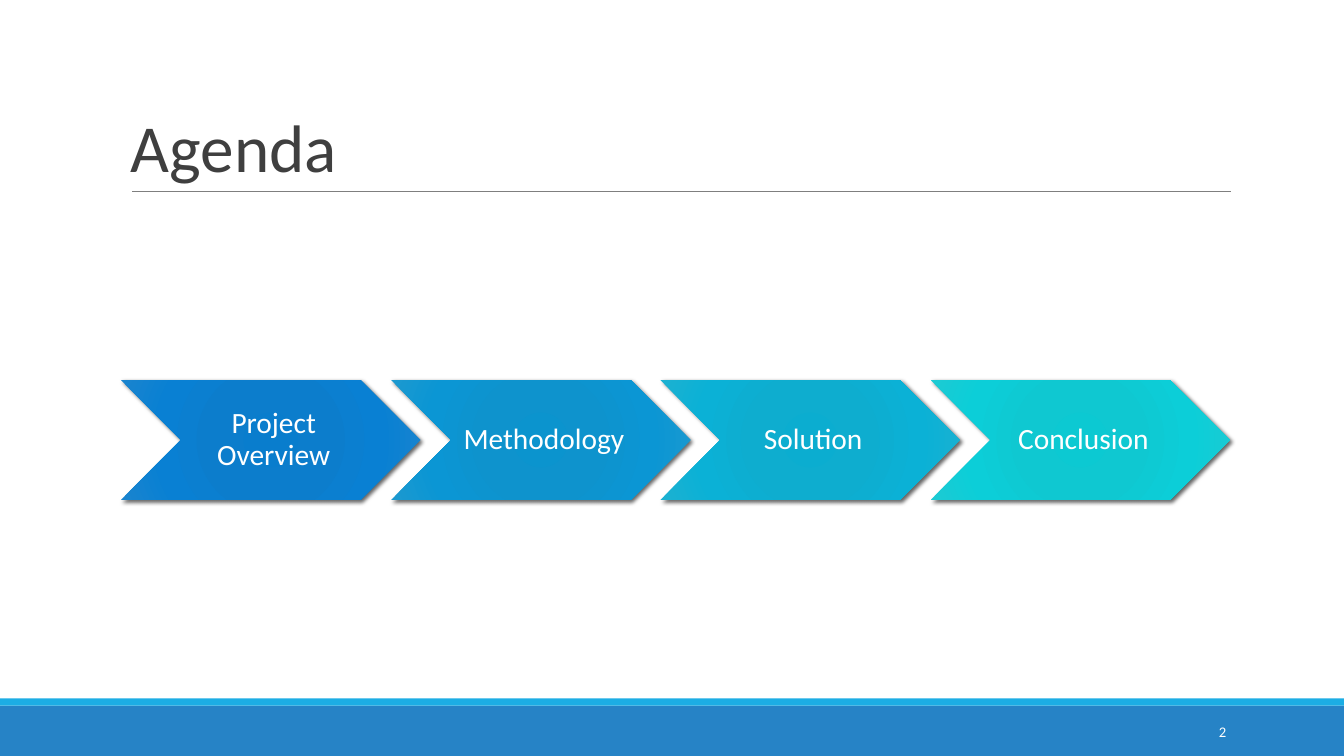
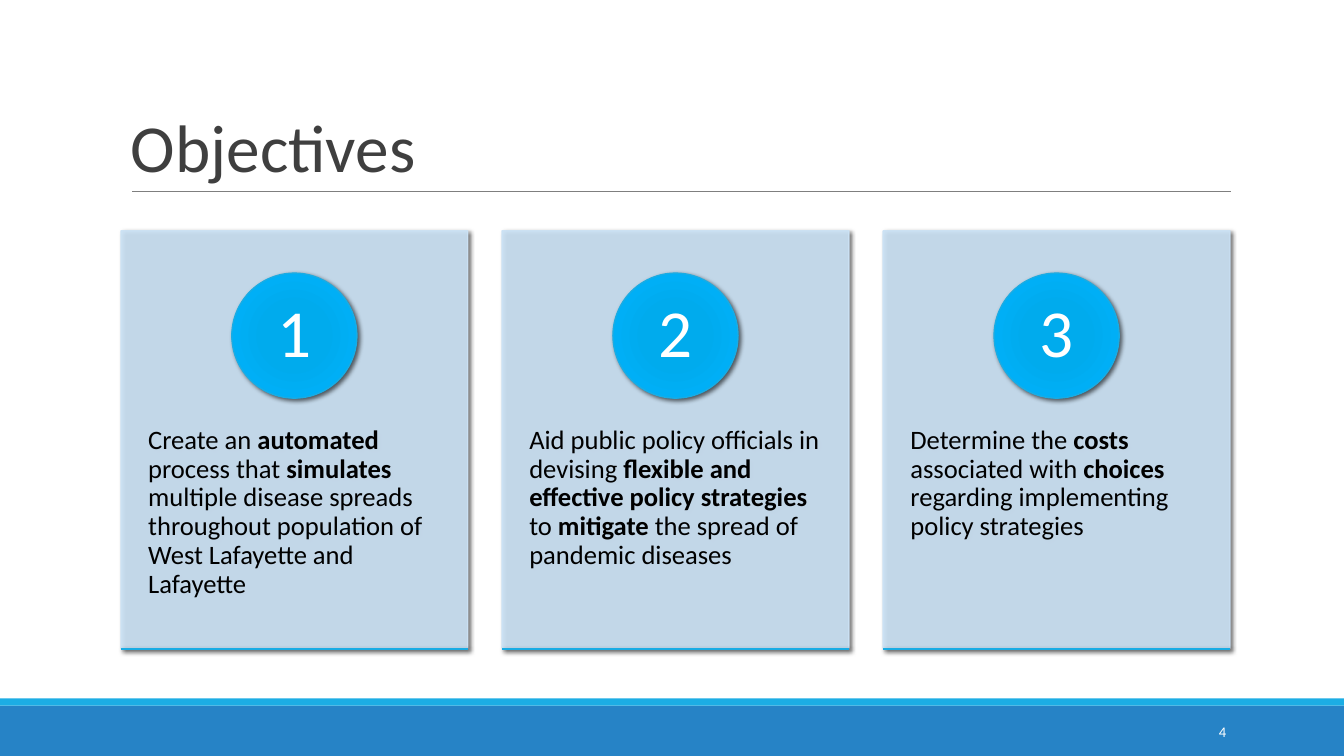
from dataclasses import dataclass

from lxml import etree
from pptx import Presentation
from pptx.dml.color import RGBColor
from pptx.enum.shapes import MSO_CONNECTOR, MSO_SHAPE
from pptx.enum.text import MSO_ANCHOR, PP_ALIGN
from pptx.oxml.ns import qn
from pptx.util import Emu, Pt

RECT, OVAL, ARROW = MSO_SHAPE.RECTANGLE, MSO_SHAPE.OVAL, MSO_SHAPE.CHEVRON
LINE = MSO_CONNECTOR.STRAIGHT
TOP, MID, LOW = MSO_ANCHOR.TOP, MSO_ANCHOR.MIDDLE, MSO_ANCHOR.BOTTOM
LEFT, MIDDLE, RIGHT = PP_ALIGN.LEFT, PP_ALIGN.CENTER, PP_ALIGN.RIGHT
SCALE = 9144  # EMU per px, 100 px to the inch


@dataclass(frozen=True)
class Theme:
    font: str = "Calibri"
    # Colours
    band: str = "2683C6"
    strip: str = "1CADE4"
    rule: str = "7F7F7F"
    title: str = "3F3F3F"
    body: str = "000000"
    light: str = "FFFFFF"
    card: str = "CBE2F5"
    edge: str = "19ACE4"
    disc: tuple = ("00ABEF", "00ABED", "00AFF6", "0EB0EE")
    steps: tuple = (
        ("097DCD", "0C7DCC", "0980D3", "1A84CE"),
        ("0B94CE", "0E93CD", "0B96D4", "1C99CF"),
        ("0BADD0", "0EADCF", "0BB1D6", "1CB1D1"),
        ("0CC9D2", "0FC8D1", "0CCED8", "1DCAD3"),
    )
    # Type sizes
    head: float = 48
    step: float = 21
    note: float = 19
    foot: float = 10.5


def px(*vals):
    return [Emu(round(val * SCALE)) for val in vals]


def spread(left, right, width, count):
    """Left edges of equal boxes that fill left to right."""
    gap = (right - left - width) / (count - 1)
    return [round(left + num * gap) for num in range(count)]


def node(base, tag, **attrs):
    return etree.SubElement(base, qn(tag), {key: str(val) for key, val in attrs.items()})


def glow(props, blur):
    """Add an outer shadow to the shape properties."""
    base = props.find(qn("a:effectLst"))
    if base is None:
        base = node(props, "a:effectLst")
    outer = node(base, "a:outerShdw", blurRad=Pt(blur), dist=Pt(2), dir=45 * 60000,
                 algn="tl", rotWithShape=0)
    node(node(outer, "a:srgbClr", val="000000"), "a:alpha", val=60000)


def radial(shape, stops):
    """Fill the shape with a gradient that runs out from its centre."""
    shape.fill.background()
    props = shape.element.spPr
    grad = etree.Element(qn("a:gradFill"), {"rotWithShape": "1"})
    row = node(grad, "a:gsLst")
    for pos, tone in zip((0, 34, 70, 100), stops):
        node(node(row, "a:gs", pos=pos * 1000), "a:srgbClr", val=tone)
    node(node(grad, "a:path", path="circle"), "a:fillToRect",
         l=50000, t=50000, r=50000, b=50000)
    props.replace(props.find(qn("a:noFill")), grad)


def write(shape, text, *, font, size, color, align=LEFT, anchor=TOP,
          pads=(10, 5, 10, 5), space=1.0):
    """Set text in a shape; parts between asterisks are bold."""
    frame = shape.text_frame
    frame.word_wrap = True
    frame.vertical_anchor = anchor
    (frame.margin_left, frame.margin_top,
     frame.margin_right, frame.margin_bottom) = px(*pads)
    para = frame.paragraphs[0]
    para.alignment = align
    para.line_spacing = space
    for num, part in enumerate(text.split("*")):
        run = para.add_run()
        run.text = part
        run.font.name = font
        run.font.size = Pt(size)
        run.font.bold = num % 2 == 1
        run.font.color.rgb = RGBColor.from_string(color)


class Deck:
    def __init__(self, theme):
        self.theme = theme
        self.prs = Presentation()
        self.prs.slide_width, self.prs.slide_height = px(1333, 750)
        self.slide = None

    def page(self, title, num):
        """Start a slide with its bands, title and number."""
        look = self.theme
        self.slide = self.prs.slides.add_slide(self.prs.slide_layouts[6])
        self.shape(RECT, (0, 700, 1333, 50), look.band)
        self.shape(RECT, (0, 693, 1333, 7), look.strip)
        self.rule(131, 1221, 190, look.rule, 0.75)
        self.label((120, 31, 1100, 159), title, size=look.head,
                   color=look.title, anchor=LOW, space=0.85)
        self.label((1083, 706, 143, 40), str(num), size=look.foot,
                   color=look.light, align=RIGHT, anchor=MID)

    def shape(self, kind, box, fill, line=None, blur=0, alpha=100):
        item = self.slide.shapes.add_shape(kind, *px(*box))
        item.shadow.inherit = False
        if isinstance(fill, tuple):
            radial(item, fill)
        else:
            item.fill.solid()
            item.fill.fore_color.rgb = RGBColor.from_string(fill)
        if line:
            item.line.color.rgb = RGBColor.from_string(line)
            item.line.width = Pt(1)
        else:
            item.line.fill.background()
        props = item.element.spPr
        if alpha < 100:
            for tone in list(props.iter(qn("a:srgbClr"))):
                node(tone, "a:alpha", val=alpha * 1000)
        if blur:
            glow(props, blur)
        return item

    def rule(self, left, right, top, color, width, blur=0):
        item = self.slide.shapes.add_connector(LINE, *px(left, top, right, top))
        item.line.color.rgb = RGBColor.from_string(color)
        item.line.width = Pt(width)
        props = item.element.spPr
        node(props, "a:effectLst")
        if blur:
            glow(props, blur)

    def label(self, box, text, **style):
        item = self.slide.shapes.add_textbox(*px(*box))
        write(item, text, font=self.theme.font, **style)

    def step(self, left, text, fill):
        look = self.theme
        item = self.shape(ARROW, (left, 377, 297, 119), fill, blur=3)
        write(item, text, font=look.font, size=look.step, color=look.light,
              align=MIDDLE, anchor=MID, pads=(9, 3, 3, 3), space=0.9)

    def card(self, left, width, num, text):
        look = self.theme
        top, high, disc = 229, 414, 124
        item = self.shape(RECT, (left, top, width, high), look.card,
                          line=look.card, blur=3, alpha=90)
        write(item, text, font=look.font, size=look.note, color=look.body,
              pads=(27, 194, 27, 36), space=0.9)
        box = (left + (width - disc) // 2, top + 42, disc, disc)
        item = self.shape(OVAL, box, look.disc, line=look.edge, blur=3.5)
        write(item, str(num), font=look.font, size=look.head, color=look.light,
              align=MIDDLE, anchor=MID, pads=(10, 1, 10, 1), space=0.9)
        self.rule(left, left + width, top + high + 1, look.edge, 1, blur=3.5)


def main():
    theme = Theme()
    deck = Deck(theme)

    # Agenda: a row of chevrons
    deck.page("Agenda", 2)
    names = ("Project Overview", "Methodology", "Solution", "Conclusion")
    for left, name, fill in zip(spread(120, 1220, 297, len(names)), names, theme.steps):
        deck.step(left, name, fill)

    # Objectives: numbered cards
    deck.page("Objectives", 4)
    goals = (
        "Create an *automated* process that *simulates* multiple disease spreads "
        "throughout population of West Lafayette and Lafayette",
        "Aid public policy officials in devising *flexible and effective policy "
        "strategies* to *mitigate* the spread of pandemic diseases",
        "Determine the *costs* associated with *choices* regarding implementing "
        "policy strategies",
    )
    wide = 344
    for num, left in enumerate(spread(120, 1220, wide, len(goals))):
        deck.card(left, wide, num + 1, goals[num])

    deck.prs.save("out.pptx")


if __name__ == "__main__":
    main()
